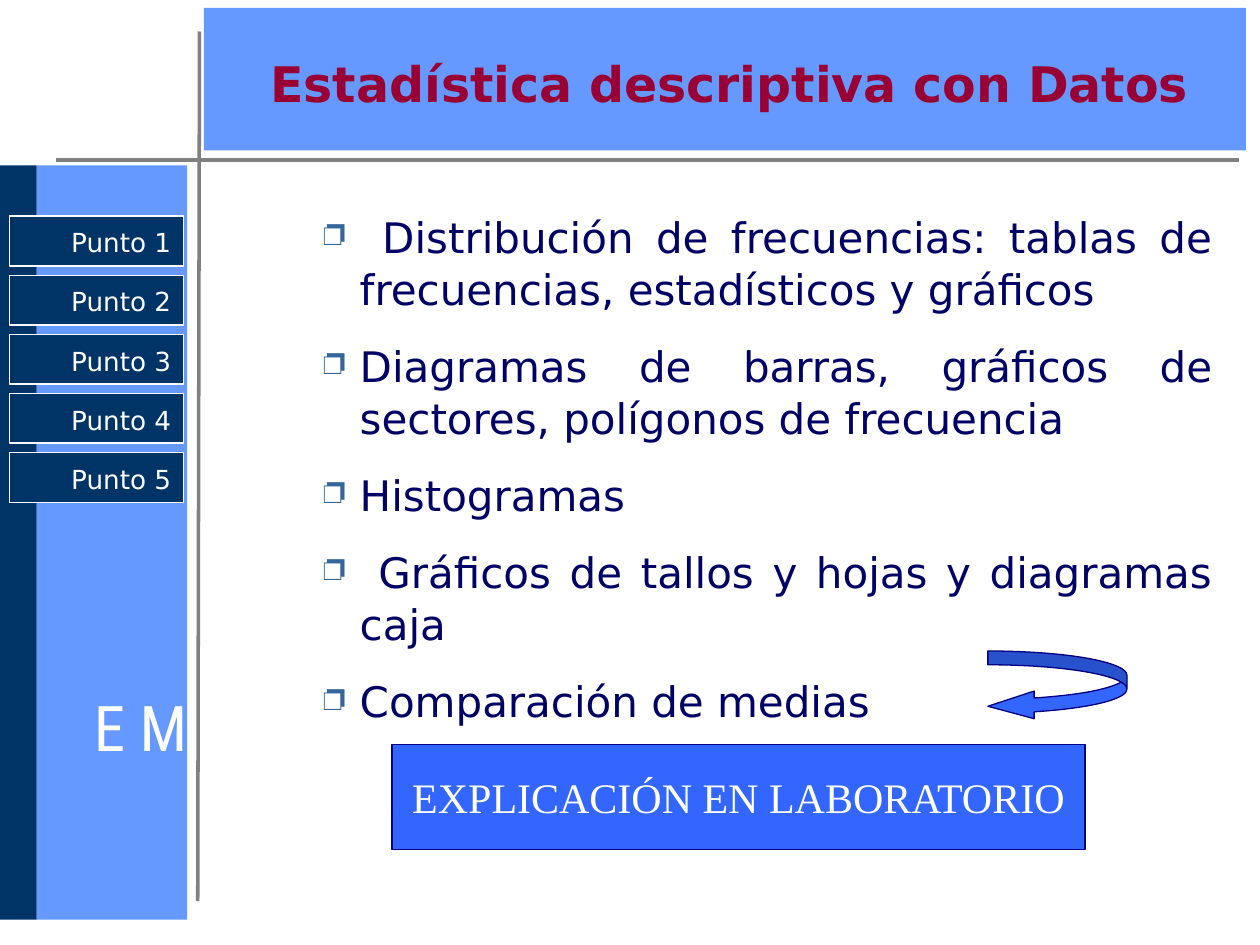
from lxml import etree
from pptx import Presentation
from pptx.dml.color import RGBColor
from pptx.enum.shapes import MSO_CONNECTOR, MSO_SHAPE
from pptx.enum.text import MSO_ANCHOR, PP_ALIGN
from pptx.oxml.ns import qn
from pptx.util import Pt

RECT, CURVED_ARROW = MSO_SHAPE.RECTANGLE, MSO_SHAPE.CURVED_LEFT_ARROW
LEFT_TO_RIGHT = MSO_CONNECTOR.STRAIGHT
TOP, MIDDLE = MSO_ANCHOR.TOP, MSO_ANCHOR.MIDDLE
CENTER, RIGHT, JUSTIFY = PP_ALIGN.CENTER, PP_ALIGN.RIGHT, PP_ALIGN.JUSTIFY

SKY = RGBColor(0x66, 0x99, 0xFF)
DEEP_BLUE = RGBColor(0x00, 0x33, 0x66)
ROYAL = RGBColor(0x33, 0x66, 0xFF)
NAVY = RGBColor(0x00, 0x00, 0x80)
INK = RGBColor(0x00, 0x00, 0x66)
CRIMSON = RGBColor(0x99, 0x00, 0x33)
GRAY = RGBColor(0x80, 0x80, 0x80)
WHITE = RGBColor(0xFF, 0xFF, 0xFF)
SANS = "DejaVu Sans"

prs = Presentation()
prs.slide_width, prs.slide_height = Pt(720), Pt(540)
slide = prs.slides.add_slide(prs.slide_layouts[5])
shapes = slide.shapes


def add_block(kind, left, top, width, height, fill, line=None):
    block = shapes.add_shape(kind, Pt(left), Pt(top), Pt(width), Pt(height))
    block.shadow.inherit = False
    block.fill.solid()
    block.fill.fore_color.rgb = fill
    if line is None:
        block.line.fill.background()
    else:
        block.line.color.rgb = line
        block.line.width = Pt(0.75)
    return block


def write(holder, lines, align, anchor, wrap, **font_format):
    frame = holder.text_frame
    frame.word_wrap = wrap
    frame.vertical_anchor = anchor
    frame.text = "\n".join(lines)
    for paragraph in frame.paragraphs:
        paragraph.alignment = align
        font = paragraph.runs[0].font
        font.color.rgb = font_format["color"]
        for key in ("name", "size", "bold"):
            setattr(font, key, font_format.get(key))
    return frame


# Side bands and title band
add_block(RECT, 21, 94.5, 86, 431, SKY)
add_block(RECT, 0, 94.5, 21, 431, DEEP_BLUE)
add_block(RECT, 116.5, 4.5, 595.5, 81.5, SKY)

# Crossing rules
for x1, y1, x2, y2 in [(32, 91.5, 708, 91.5), (113, 515, 114, 18)]:
    rule = shapes.add_connector(LEFT_TO_RIGHT, Pt(x1), Pt(y1), Pt(x2), Pt(y2))
    rule.line.color.rgb = GRAY
    rule.line.width = Pt(2)
    etree.SubElement(rule._element.spPr, qn("a:effectLst"))

# Initials on the side band
initials = shapes.add_textbox(Pt(14.5), Pt(390), Pt(131.5), Pt(131))
write(initials, ["E M"], CENTER, TOP, False,
      name="Roboto Condensed", size=Pt(36), color=WHITE)

# Title, brought in front of its band
title = shapes.title
title.left, title.top, title.width, title.height = Pt(123), Pt(19.5), Pt(587.5), Pt(55.5)
write(title, ["Estadística descriptiva con Datos"], CENTER, MIDDLE, True,
      name=SANS, size=Pt(28), bold=True, color=CRIMSON)
shapes._spTree.append(title._element)

# Topics
topics = shapes.add_textbox(Pt(148.5), Pt(116), Pt(551.5), Pt(399))
topic_frame = write(topics, [
    " Distribución de frecuencias: tablas de frecuencias, estadísticos y gráficos",
    "Diagramas de barras, gráficos de sectores, polígonos de frecuencia",
    "Histogramas",
    " Gráficos de tallos y hojas y diagramas caja",
    "Comparación de medias",
], JUSTIFY, TOP, True, name=SANS, size=Pt(24), color=INK)
for topic in topic_frame.paragraphs:
    topic.line_spacing = 1.04
    topic.space_after = Pt(14)
    props = topic._p.get_or_add_pPr()
    props.set("marL", str(Pt(50)))
    props.set("indent", str(Pt(-20.5)))
    bullet_color = etree.SubElement(props, qn("a:buClr"))
    etree.SubElement(bullet_color, qn("a:srgbClr"), val="336699")
    etree.SubElement(props, qn("a:buSzPct"), val="90000")
    etree.SubElement(props, qn("a:buChar"), char="❐")

# Laboratory call-out and its arrow
lab = add_block(RECT, 224, 425.5, 396, 60, ROYAL, NAVY)
write(lab, ["EXPLICACIÓN EN LABORATORIO"], CENTER, MIDDLE, False,
      name="Times New Roman", size=Pt(24), color=WHITE)
arrow = add_block(CURVED_ARROW, 564.5, 372, 79.5, 39.5, ROYAL, NAVY)
for index, value in enumerate((0.2, 0.4, 0.67)):
    arrow.adjustments[index] = value

# Navigation buttons
for index in range(5):
    button = add_block(RECT, 5.5, 123.5 + 33.75 * index, 99.5, 28.5, DEEP_BLUE, WHITE)
    label = write(button, [f"Punto {index + 1}"], RIGHT, TOP, True,
                  name=SANS, size=Pt(15), color=WHITE)
    label.margin_top = Pt(6)

prs.save("out.pptx")
